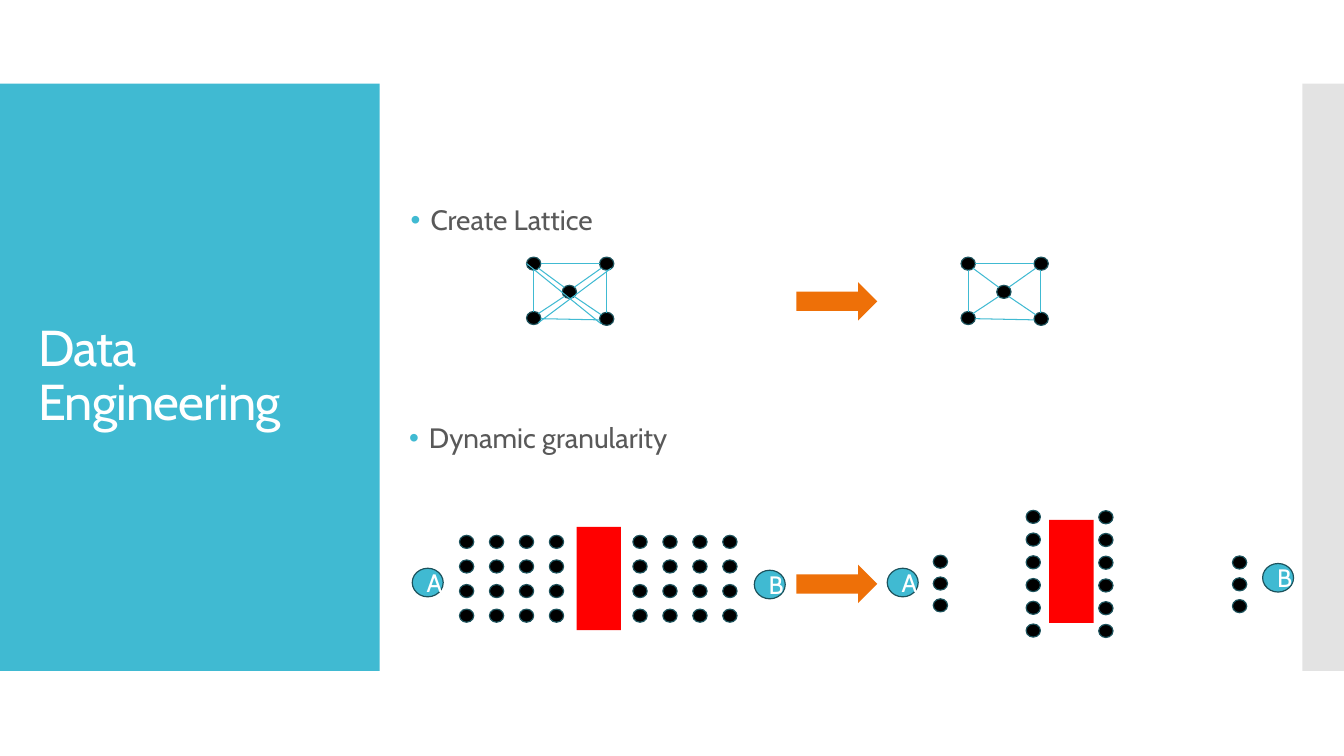
import pptx
import pptx.util
import pptx.dml.color
import pptx.enum.shapes
import pptx.enum.text
import pptx.oxml.xmlchemy

Cm = pptx.util.Cm
Pt = pptx.util.Pt
RGBColor = pptx.dml.color.RGBColor
SHAPE = pptx.enum.shapes.MSO_SHAPE
ANCHOR = pptx.enum.text.MSO_ANCHOR
ALIGN = pptx.enum.text.PP_ALIGN
OxmlElement = pptx.oxml.xmlchemy.OxmlElement

TEAL = RGBColor(0x40, 0xBA, 0xD2)
DARK_TEAL = RGBColor(0x1C, 0x52, 0x5C)
ORANGE = RGBColor(0xEE, 0x70, 0x08)
RED = RGBColor(0xFF, 0x00, 0x00)
BLACK = RGBColor(0x00, 0x00, 0x00)
WHITE = RGBColor(0xFF, 0xFF, 0xFF)
GREY = RGBColor(0xC8, 0xC8, 0xC8)
TEXT_GREY = RGBColor(0x59, 0x59, 0x59)

DOT_W, DOT_H = 0.36, 0.33
LATTICE_DOTS = [(0, 0), (0, 1.37), (0.9, 0.71), (1.84, 1.39), (1.84, 0)]
LATTICE_EDGES = [
    (0.36, 1.55, 1.84, 1.58), (0.18, 1.37, 0.18, 0.33),
    (0.3, 1.42, 0.95, 0.99), (0.3, 0.28, 0.95, 0.76),
    (0.36, 0.16, 1.84, 0.16), (1.2, 0.76, 1.88, 0.28),
    (1.2, 0.99, 1.88, 1.45), (2.01, 0.33, 2.01, 1.4),
]
CROSSING_EDGES = [(0.3, 1.65, 2.13, 0.28), (1.88, 1.68, 0, 0.16)]


def write(tf, text, size=18, color=WHITE, align=ALIGN.LEFT,
          anchor=ANCHOR.TOP, line_spacing=None, before=None, tracking=None,
          bullet=None):
    """Put one formatted paragraph into a text frame."""
    tf.word_wrap = True
    tf.vertical_anchor = anchor
    p = tf.paragraphs[0]
    p.alignment = align
    if line_spacing:
        p.line_spacing = line_spacing
    if before:
        p.space_before = Pt(before)
    if bullet:
        pPr = p._p.get_or_add_pPr()
        pPr.set("marL", str(Cm(0.5)))
        pPr.set("indent", str(-Cm(0.5)))
        buClr = OxmlElement("a:buClr")
        clr = OxmlElement("a:srgbClr")
        clr.set("val", str(bullet))
        buClr.append(clr)
        buFont = OxmlElement("a:buFont")
        buFont.set("typeface", "Arial")
        buChar = OxmlElement("a:buChar")
        buChar.set("char", "•")
        pPr.extend([buClr, buFont, buChar])
    r = p.add_run()
    r.text = text
    r.font.name = "Cabin"
    r.font.size = Pt(size)
    r.font.color.rgb = color
    if tracking:
        r._r.get_or_add_rPr().set("spc", str(int(tracking * 100)))


class Canvas:
    """Draws the elements of one slide in a shared style."""

    def __init__(self, s):
        """Keep the slide to draw on."""
        self.s = s

    def shape(self, kind, x, y, w, h, fill, outline=None, alpha=None):
        """Add a filled preset shape."""
        sp = self.s.shapes.add_shape(kind, Cm(x), Cm(y), Cm(w), Cm(h))
        sp.shadow.inherit = False
        sp.fill.solid()
        sp.fill.fore_color.rgb = fill
        if alpha:
            a = OxmlElement("a:alpha")
            a.set("val", str(alpha * 1000))
            sp.fill._xPr.solidFill[0].append(a)
        if outline:
            sp.line.color.rgb = outline
            sp.line.width = Pt(0.85)
        else:
            sp.line.fill.background()
        return sp

    def text(self, text, x, y, w, h, **style):
        """Add a text box."""
        sp = self.s.shapes.add_textbox(Cm(x), Cm(y), Cm(w), Cm(h))
        write(sp.text_frame, text, **style)

    def bullet(self, text, x, y):
        """Add a bulleted line."""
        self.text(text, x, y, 21.44, 1.57, size=20, color=TEXT_GREY,
                  line_spacing=0.9, before=12, bullet=TEAL)

    def node(self, label, x, y):
        """Add a lettered end point."""
        sp = self.shape(SHAPE.OVAL, x, y, 0.78, 0.72, TEAL, DARK_TEAL)
        write(sp.text_frame, label, align=ALIGN.CENTER, anchor=ANCHOR.MIDDLE)

    def dot(self, x, y):
        """Add a black grid dot."""
        self.shape(SHAPE.OVAL, x, y, DOT_W, DOT_H, BLACK, DARK_TEAL)

    def column(self, x, y, count, step):
        """Add evenly spaced dots from top to bottom."""
        for row in range(count):
            self.dot(x, y + row * step)

    def obstacle(self, x, y):
        """Add a red block."""
        self.shape(SHAPE.RECTANGLE, x, y, 1.12, 2.6, RED)

    def arrow(self, y):
        """Add an orange block arrow."""
        self.shape(SHAPE.RIGHT_ARROW, 20.07, y, 2.04, 0.97, ORANGE)

    def line(self, x1, y1, x2, y2):
        """Add a thin straight line."""
        cxn = self.s.shapes.add_connector(
            pptx.enum.shapes.MSO_CONNECTOR.STRAIGHT,
            Cm(x1), Cm(y1), Cm(x2), Cm(y2))
        cxn.line.color.rgb = TEAL
        cxn.line.width = Pt(0.75)
        cxn._element.spPr.append(OxmlElement("a:effectLst"))

    def lattice(self, x, y, edges):
        """Add five dots joined by the given edges."""
        for dx, dy in LATTICE_DOTS:
            self.dot(x + dx, y + dy)
        for x1, y1, x2, y2 in edges:
            self.line(x + x1, y + y1, x + x2, y + y2)


def main():
    """Build and save the slide."""
    prs = pptx.Presentation()
    prs.slide_width, prs.slide_height = Cm(33.87), Cm(19.05)
    c = Canvas(prs.slides.add_slide(prs.slide_layouts[6]))

    c.shape(SHAPE.RECTANGLE, 0, 2.11, 9.57, 14.8, TEAL)
    c.shape(SHAPE.RECTANGLE, 32.82, 2.11, 1.05, 14.8, GREY, alpha=50)
    c.text("Data Engineering", 0.71, 3.12, 8.18, 12.78, size=36,
           anchor=ANCHOR.MIDDLE, line_spacing=0.9, tracking=-0.6)
    c.bullet("Create Lattice", 10.1, 5.08)

    c.obstacle(14.53, 13.28)
    c.node("A", 10.39, 14.32)
    c.node("B", 19.01, 14.37)
    for left in (11.58, 15.95):
        for col in range(4):
            c.column(left + col * 0.755, 13.49, 4, 0.62)

    c.obstacle(26.44, 13.1)
    c.node("A", 22.36, 14.32)
    c.node("B", 31.82, 14.2)
    for x, y in ((25.86, 12.86), (27.69, 12.87)):
        c.column(x, y, 6, 0.573)
    for x, y in ((23.52, 13.99), (31.06, 14.01)):
        c.column(x, y, 3, 0.55)

    c.arrow(14.23)
    c.arrow(7.11)
    c.bullet("Dynamic granularity", 10.06, 10.57)
    c.lattice(13.27, 6.48, LATTICE_EDGES + CROSSING_EDGES)
    c.lattice(24.22, 6.48, LATTICE_EDGES)

    prs.save("out.pptx")


if __name__ == "__main__":
    main()
